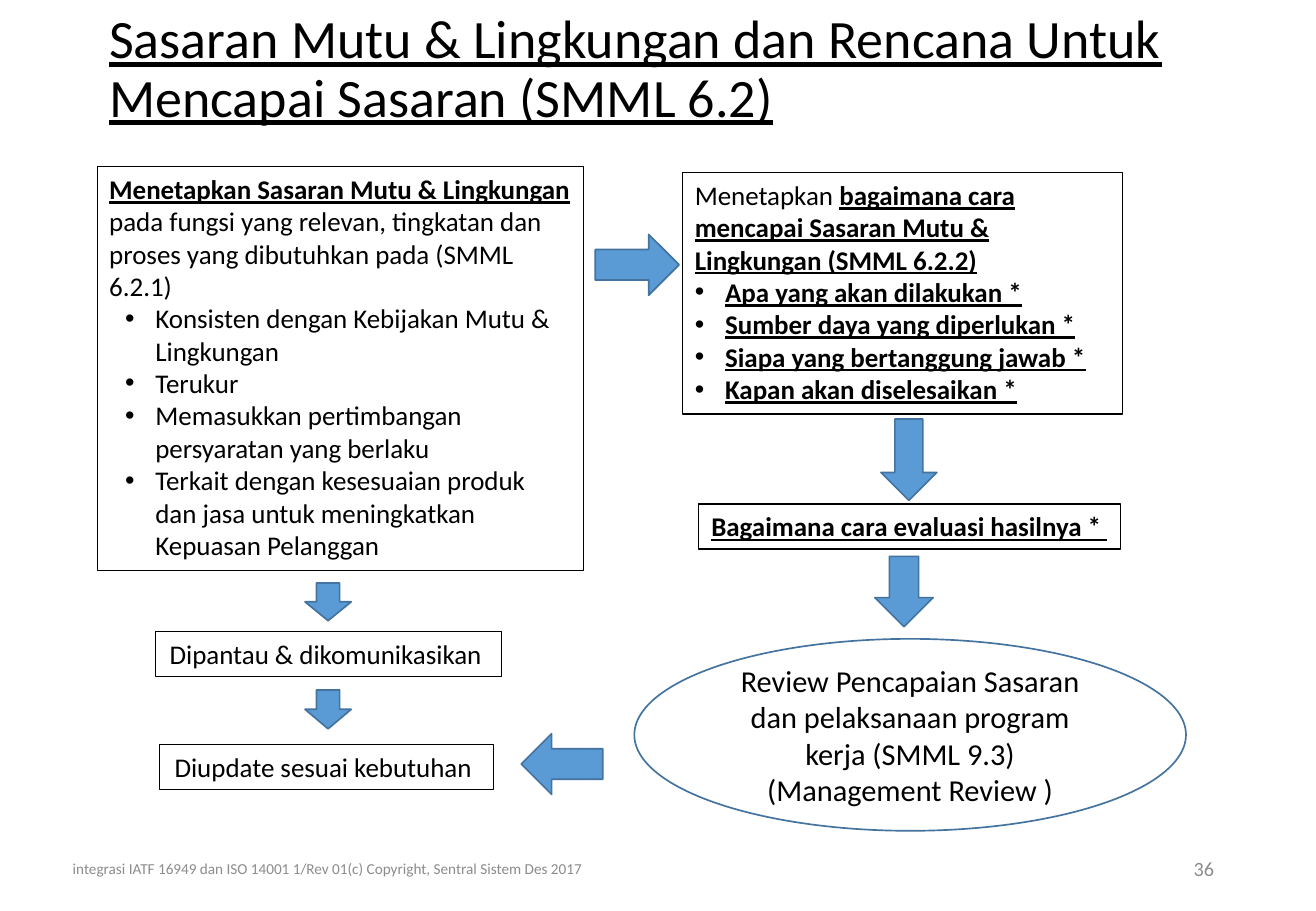
from dataclasses import dataclass
from typing import NamedTuple

from lxml.etree import SubElement
from pptx import Presentation
from pptx.dml.color import RGBColor
from pptx.enum.shapes import MSO_SHAPE as Kind
from pptx.enum.text import MSO_ANCHOR as Anchor, MSO_AUTO_SIZE as Fit, PP_ALIGN as Align
from pptx.oxml.ns import qn
from pptx.util import Inches, Pt

WIDE, HIGH = Inches(10.83), Inches(7.5)
BLACK, GREY, BLUE, EDGE = "000000", "8C8C8C", "5B9BD5", "43739E"


class Area(NamedTuple):
    """Left, top, width and height in percent of the slide."""
    x: float
    y: float
    w: float
    h: float


class Run(NamedTuple):
    text: str
    bold: bool = False
    under: bool = False


class Para(NamedTuple):
    runs: list[Run]
    indent: float = 0  # inches; above zero means a bullet


@dataclass
class Box:
    area: Area
    paras: list[Para]
    align: Align = Align.LEFT
    wrap: bool = True


@dataclass
class Arrow:
    area: Area
    kind: Kind = Kind.DOWN_ARROW


def tint(code: str) -> RGBColor:
    return RGBColor.from_string(code)


def place(area: Area) -> list[int]:
    return [round(part * side / 100) for part, side in zip(area, (WIDE, HIGH) * 2)]


def line(text: str, strong: bool = False, indent: float = 0) -> Para:
    return Para([Run(text, strong, strong)], indent)


def write(shape, paras: list[Para], *, size: float = 16, color: str = BLACK,
          align: Align = Align.LEFT, anchor: Anchor = Anchor.TOP,
          wrap: bool = True, grow: bool = False, space: float = 1) -> None:
    frame = shape.text_frame
    frame.word_wrap = wrap
    frame.vertical_anchor = anchor
    frame.auto_size = Fit.SHAPE_TO_FIT_TEXT if grow else Fit.NONE
    for i, para in enumerate(paras):
        p = frame.add_paragraph() if i else frame.paragraphs[0]
        p.alignment = align
        p.line_spacing = space
        if para.indent:
            props = p._p.get_or_add_pPr()
            props.set("marL", str(Inches(para.indent)))
            props.set("indent", str(-Inches(0.25)))
            SubElement(props, qn("a:buFont"), typeface="Arial")
            SubElement(props, qn("a:buChar"), char="•")
        for run in para.runs:
            r = p.add_run()
            r.text = run.text
            font = r.font
            font.name, font.size = "Calibri", Pt(size)
            font.bold, font.underline = run.bold, run.under
            font.color.rgb = tint(color)


def draw(kind: Kind, area: Area, edge: str, width: float, fill: str = ""):
    shape = page.shapes.add_shape(kind, *place(area))
    shape.shadow.inherit = False
    if fill:
        shape.fill.solid()
        shape.fill.fore_color.rgb = tint(fill)
    else:
        shape.fill.background()
    shape.line.color.rgb = tint(edge)
    shape.line.width = Pt(width)
    return shape


def label(area: Area, para: Para, **style) -> None:
    write(page.shapes.add_textbox(*place(area)), [para], anchor=Anchor.MIDDLE, **style)


deck = Presentation()
deck.slide_width, deck.slide_height = WIDE, HIGH
page = deck.slides.add_slide(deck.slide_layouts[6])

# Title
label(Area(7.39, 0, 85.96, 15.47),
      Para([Run("Sasaran Mutu & Lingkungan dan Rencana Untuk Mencapai Sasaran (SMML 6.2)",
                under=True)]), size=32, space=0.9)

# Process boxes
goals = [
    "Konsisten dengan Kebijakan Mutu & Lingkungan",
    "Terukur",
    "Memasukkan pertimbangan persyaratan yang berlaku",
    "Terkait dengan kesesuaian produk dan jasa untuk meningkatkan Kepuasan Pelanggan",
]
plans = [
    "Apa yang akan dilakukan *",
    "Sumber daya yang diperlukan *",
    "Siapa yang bertanggung jawab *",
    "Kapan akan diselesaikan *",
]
boxes = [
    Box(Area(7.39, 18.27, 36.93, 44.4), [
        Para([Run("Menetapkan Sasaran Mutu & Lingkungan ", True, True),
              Run("pada fungsi yang relevan, tingkatan dan proses yang dibutuhkan "
                  "pada (SMML 6.2.1)")]),
        *(line(goal, indent=0.38) for goal in goals)]),
    Box(Area(51.89, 18.93, 33.43, 26.53), [
        Para([Run("Menetapkan "),
              Run("bagaimana cara mencapai Sasaran Mutu & Lingkungan (SMML 6.2.2)",
                  True, True)]),
        *(line(plan, True, 0.25) for plan in plans)]),
    Box(Area(11.82, 69.33, 26.32, 4.93), [line("Dipantau & dikomunikasikan ")],
        Align.CENTER, False),
    Box(Area(12.1, 81.73, 25.39, 4.93), [line("Diupdate sesuai kebutuhan ")],
        Align.CENTER, False),
    Box(Area(53.09, 55.33, 32.04, 4.93), [line("Bagaimana cara evaluasi hasilnya * ", True)],
        Align.CENTER, False),
]
for box in boxes:
    write(draw(Kind.RECTANGLE, box.area, BLACK, 0.75), box.paras,
          align=box.align, wrap=box.wrap, grow=True)

# Review
review = draw(Kind.OVAL, Area(48.2, 70.13, 41.92, 21.07), EDGE, 1)
write(review, [line("Review Pencapaian Sasaran dan pelaksanaan program kerja (SMML 9.3)"),
               line("(Management Review )")],
      size=18, align=Align.CENTER, anchor=Anchor.MIDDLE)

# Block arrows
arrows = [
    Arrow(Area(45.24, 25.73, 6.37, 6.67), Kind.RIGHT_ARROW),
    Arrow(Area(23.18, 64, 3.51, 4.13)),
    Arrow(Area(23.18, 75.73, 3.51, 4.27)),
    Arrow(Area(66.94, 46, 4.25, 8.93)),
    Arrow(Area(66.48, 61.07, 4.43, 7.73)),
    Arrow(Area(39.61, 80.53, 6.19, 6.67), Kind.LEFT_ARROW),
]
for arrow in arrows:
    draw(arrow.kind, arrow.area, EDGE, 1, BLUE)

# Footer
label(Area(70.64, 92.67, 22.53, 5.33), line("36"), size=12, color=GREY, align=Align.RIGHT)
label(Area(4.62, 92.67, 54.66, 5.33),
      line("integrasi IATF 16949 dan ISO 14001 1/Rev 01(c) Copyright, Sentral Sistem Des 2017"),
      size=9, color=GREY)

deck.save("out.pptx")
